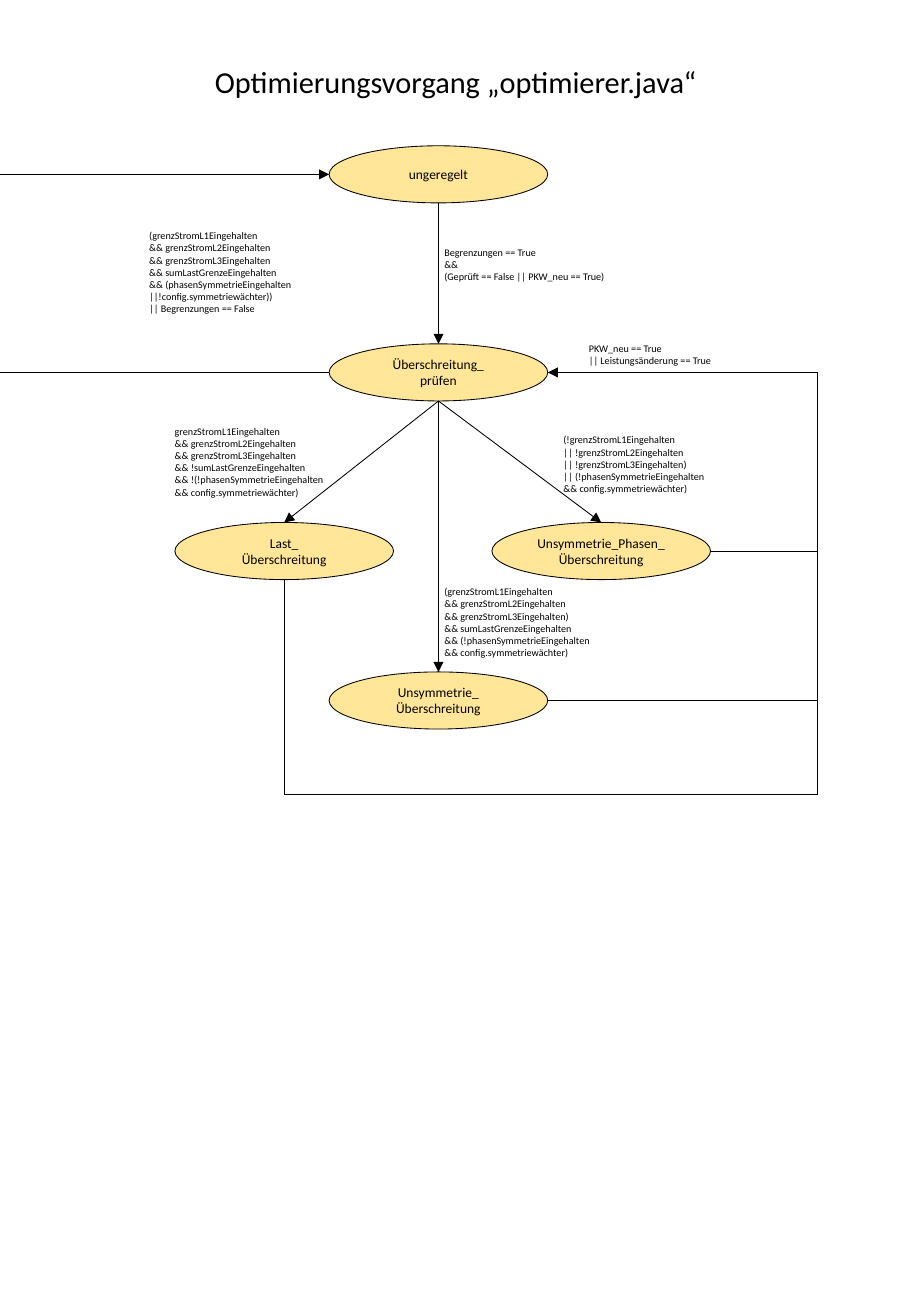
from itertools import pairwise

from lxml import etree
from pptx import Presentation
from pptx.dml.color import RGBColor
from pptx.enum.shapes import MSO_CONNECTOR, MSO_SHAPE
from pptx.enum.text import MSO_ANCHOR, PP_ALIGN
from pptx.oxml.ns import qn
from pptx.util import Inches, Pt

OVAL = MSO_SHAPE.OVAL
STRAIGHT = MSO_CONNECTOR.STRAIGHT
TOP, MIDDLE = MSO_ANCHOR.TOP, MSO_ANCHOR.MIDDLE
LEFT, CENTER = PP_ALIGN.LEFT, PP_ALIGN.CENTER
BLACK = RGBColor(0x00, 0x00, 0x00)
YELLOW = RGBColor(0xFF, 0xE6, 0x99)
FONT = "Calibri"
LINE_WIDTH = Pt(0.5)
STATE_WIDTH, STATE_HEIGHT = 1.8, 0.47

presentation = Presentation()
presentation.slide_width = Inches(7.5)
presentation.slide_height = Inches(10.83)
slide = presentation.slides.add_slide(presentation.slide_layouts[6])


def add_text(text, left, top, width, height, size=6, align=LEFT, anchor=TOP, fill=None):
    """Add a text box, or a state ellipse when a fill is given."""
    box = [Inches(value) for value in (left, top, width, height)]
    if fill is None:
        shape = slide.shapes.add_textbox(*box)
    else:
        shape = slide.shapes.add_shape(OVAL, *box)
        shape.shadow.inherit = False
        shape.fill.solid()
        shape.fill.fore_color.rgb = fill
        shape.line.color.rgb = BLACK
        shape.line.width = LINE_WIDTH
    frame = shape.text_frame
    frame.word_wrap = True
    frame.vertical_anchor = anchor
    if fill is not None:
        frame.margin_left = frame.margin_right = 0
        frame.margin_top = frame.margin_bottom = 0
    for index, line in enumerate(text.split("\n")):
        paragraph = frame.paragraphs[0] if index == 0 else frame.add_paragraph()
        paragraph.alignment = align
        run = paragraph.add_run()
        run.text = line
        run.font.name = FONT
        run.font.size = Pt(size)
        run.font.color.rgb = BLACK


def add_route(*points, arrow=True):
    """Join the points with straight connectors, the arrowhead at the last point."""
    for start, end in pairwise(points):
        connector = slide.shapes.add_connector(
            STRAIGHT, *[Inches(value) for value in (*start, *end)])
        connector.line.color.rgb = BLACK
        connector.line.width = LINE_WIDTH
        properties = connector._element.spPr
        if arrow and end == points[-1]:
            etree.SubElement(properties.find(qn("a:ln")), qn("a:tailEnd"), type="triangle")
        etree.SubElement(properties, qn("a:effectLst"))


# Title
add_text("Optimierungsvorgang „optimierer.java“", 1.67, 0.47, 4.5, 0.4, size=18)

# States, with the points where transitions attach
states = {
    "unregulated": ("ungeregelt", 2.71, 1.2),
    "check": ("Überschreitung_\nprüfen", 2.71, 2.83),
    "load": ("Last_\nÜberschreitung", 1.44, 4.3),
    "phases": ("Unsymmetrie_Phasen_\nÜberschreitung", 4.05, 4.3),
    "asymmetry": ("Unsymmetrie_\nÜberschreitung", 2.71, 5.53),
}
top_of, bottom_of, left_of, right_of = {}, {}, {}, {}
for name, (label, left, top) in states.items():
    add_text(label, left, top, STATE_WIDTH, STATE_HEIGHT,
             size=8, align=CENTER, anchor=MIDDLE, fill=YELLOW)
    center_x, center_y = left + STATE_WIDTH / 2, top + STATE_HEIGHT / 2
    top_of[name] = (center_x, top)
    bottom_of[name] = (center_x, top + STATE_HEIGHT)
    left_of[name] = (left, center_y)
    right_of[name] = (left + STATE_WIDTH, center_y)

# Transitions down through the states
add_route(bottom_of["unregulated"], top_of["check"])
for name in ("load", "asymmetry", "phases"):
    add_route(bottom_of["check"], top_of[name])

# Way back to the first state, running over the left edge
add_route(left_of["check"], (0, left_of["check"][1]), arrow=False)
add_route((0, left_of["unregulated"][1]), left_of["unregulated"])

# Way back to the check along the right-hand rail
rail_x, rail_bottom = 6.73, 6.54
add_route((rail_x, rail_bottom), (rail_x, right_of["check"][1]), right_of["check"])
add_route(bottom_of["load"], (bottom_of["load"][0], rail_bottom),
          (rail_x, rail_bottom), arrow=False)
for name in ("phases", "asymmetry"):
    add_route(right_of[name], (rail_x, right_of[name][1]), arrow=False)

# Conditions on the transitions
conditions = [
    ("Begrenzungen == True\n&&\n(Geprüft == False || PKW_neu == True)",
     3.56, 1.98, 2.07, 0.4),
    ("(grenzStromL1Eingehalten\n&& grenzStromL2Eingehalten\n"
     "&& grenzStromL3Eingehalten\n&& sumLastGrenzeEingehalten\n"
     "&& (phasenSymmetrieEingehalten\n||!config.symmetriewächter))\n"
     "|| Begrenzungen == False",
     1.13, 1.84, 1.85, 0.81),
    ("grenzStromL1Eingehalten\n&& grenzStromL2Eingehalten\n"
     "&& grenzStromL3Eingehalten\n&& !sumLastGrenzeEingehalten\n"
     "&& !(!phasenSymmetrieEingehalten\n&& config.symmetriewächter)",
     1.34, 3.45, 1.85, 0.71),
    ("(!grenzStromL1Eingehalten\n|| !grenzStromL2Eingehalten\n"
     "|| !grenzStromL3Eingehalten)\n|| (!phasenSymmetrieEingehalten\n"
     "&& config.symmetriewächter)",
     4.54, 3.52, 1.85, 0.61),
    ("(grenzStromL1Eingehalten\n&& grenzStromL2Eingehalten\n"
     "&& grenzStromL3Eingehalten)\n&& sumLastGrenzeEingehalten\n"
     "&& (!phasenSymmetrieEingehalten\n&& config.symmetriewächter)",
     3.56, 4.77, 1.51, 0.71),
    ("PKW_neu == True\n|| Leistungsänderung == True", 4.75, 2.77, 2.07, 0.3),
]
for condition in conditions:
    add_text(*condition)

presentation.save("out.pptx")
